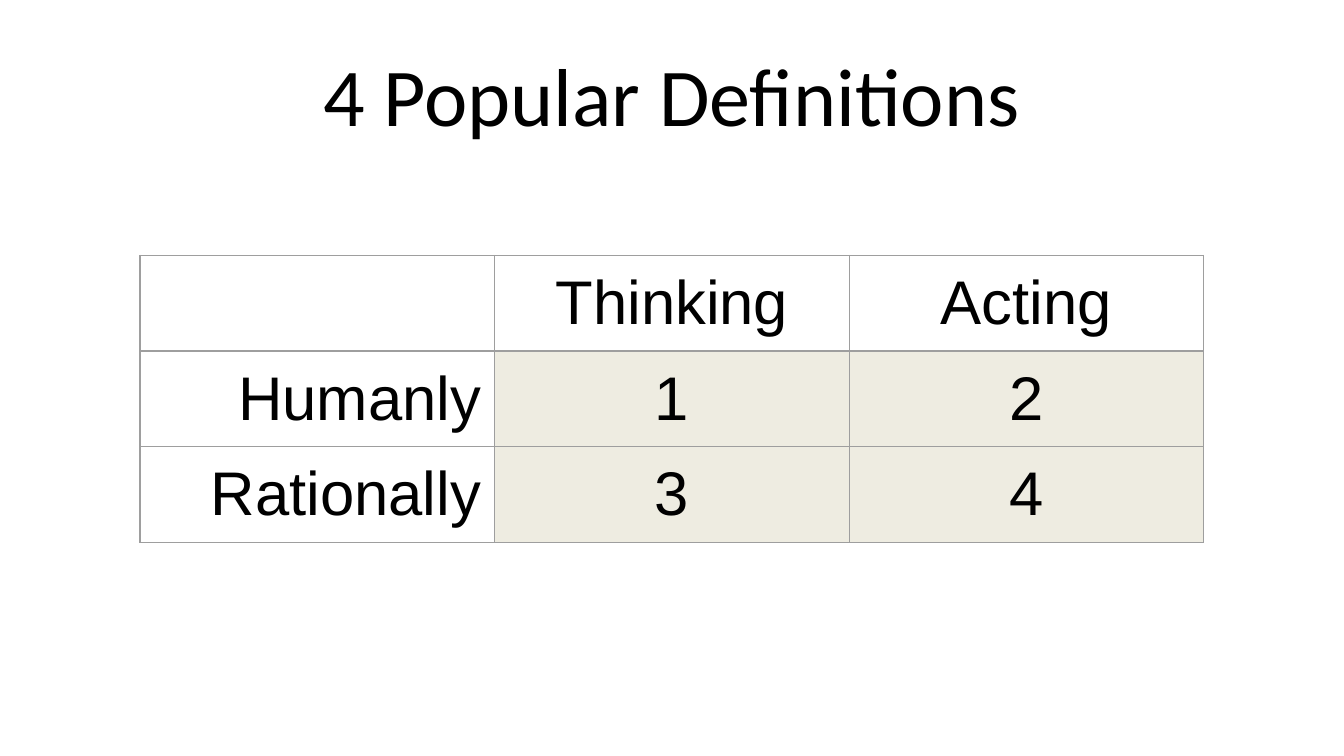
from dataclasses import dataclass

from lxml.etree import SubElement
from pptx import Presentation
from pptx.dml.color import RGBColor
from pptx.enum.text import MSO_ANCHOR, PP_ALIGN
from pptx.oxml.ns import qn
from pptx.slide import Slide
from pptx.table import _Cell
from pptx.text.text import _Paragraph
from pptx.util import Pt


@dataclass(frozen=True)
class Theme:
    ink: str = "000000"
    number_fill: str = "EEECE1"
    border: str = "9E9E9E"
    border_width: float = 0.75
    title_font: str = "Calibri"
    title_size: float = 44
    table_font: str = "Arial"
    table_size: float = 33


@dataclass(frozen=True)
class Grid:
    left: float
    top: float
    column_width: float
    row_height: float
    margin: float
    rows: tuple[tuple[str, ...], ...]


THEME = Theme()
DEFINITIONS = Grid(75, 136.8, 190, 51.2, 7.2, (
    ("", "Thinking", "Acting"),
    ("Humanly", "1", "2"),
    ("Rationally", "3", "4"),
))


def apply_format(target: object, values: dict[str, object]) -> None:
    for name, value in values.items():
        setattr(target, name, value)


def style_paragraph(para: _Paragraph, font: str, size: float, align: PP_ALIGN) -> None:
    para.alignment = align
    for span in para.runs:
        apply_format(span.font, {"name": font, "size": Pt(size)})
        span.font.color.rgb = RGBColor.from_string(THEME.ink)


def draw_title(page: Slide, text: str) -> None:
    box = page.shapes.title
    apply_format(box, {"left": Pt(36), "top": Pt(16.5),
                       "width": Pt(648), "height": Pt(67.5)})
    frame = box.text_frame
    apply_format(frame, {
        "text": text, "word_wrap": True, "vertical_anchor": MSO_ANCHOR.MIDDLE,
        "margin_left": Pt(7.2), "margin_right": Pt(7.2),
        "margin_top": Pt(3.6), "margin_bottom": Pt(3.6),
    })
    style_paragraph(frame.paragraphs[0], THEME.title_font, THEME.title_size, PP_ALIGN.CENTER)


def draw_borders(cell: _Cell) -> None:
    properties = cell._tc.get_or_add_tcPr()
    for position, side in enumerate(("lnL", "lnR", "lnT", "lnB")):
        line = SubElement(properties, qn(f"a:{side}"), w=str(Pt(THEME.border_width)))
        fill = SubElement(line, qn("a:solidFill"))
        SubElement(fill, qn("a:srgbClr"), val=THEME.border)
        properties.insert(position, line)


def draw_cell(cell: _Cell, text: str, row: int, column: int, margin: float) -> None:
    sides = ("left", "right", "top", "bottom")
    apply_format(cell, {f"margin_{side}": Pt(margin) for side in sides})
    cell.text = text
    align = PP_ALIGN.CENTER if column else PP_ALIGN.RIGHT
    style_paragraph(cell.text_frame.paragraphs[0], THEME.table_font, THEME.table_size, align)
    if row and column:
        cell.fill.solid()
        cell.fill.fore_color.rgb = RGBColor.from_string(THEME.number_fill)
    else:
        cell.fill.background()
    draw_borders(cell)


def draw_table(page: Slide, grid: Grid) -> None:
    row_count, column_count = len(grid.rows), len(grid.rows[0])
    table = page.shapes.add_table(
        row_count, column_count, Pt(grid.left), Pt(grid.top),
        Pt(grid.column_width * column_count), Pt(grid.row_height * row_count)).table
    apply_format(table, {"first_row": False, "horz_banding": False})
    for row, texts in enumerate(grid.rows):
        for column, text in enumerate(texts):
            draw_cell(table.cell(row, column), text, row, column, grid.margin)


def main() -> None:
    """Build the slide that numbers the four popular definitions."""
    deck = Presentation()
    apply_format(deck, {"slide_width": Pt(720), "slide_height": Pt(405)})
    page = deck.slides.add_slide(deck.slide_layouts[5])
    draw_table(page, DEFINITIONS)
    draw_title(page, "4 Popular Definitions")
    deck.save("out.pptx")


if __name__ == "__main__":
    main()
